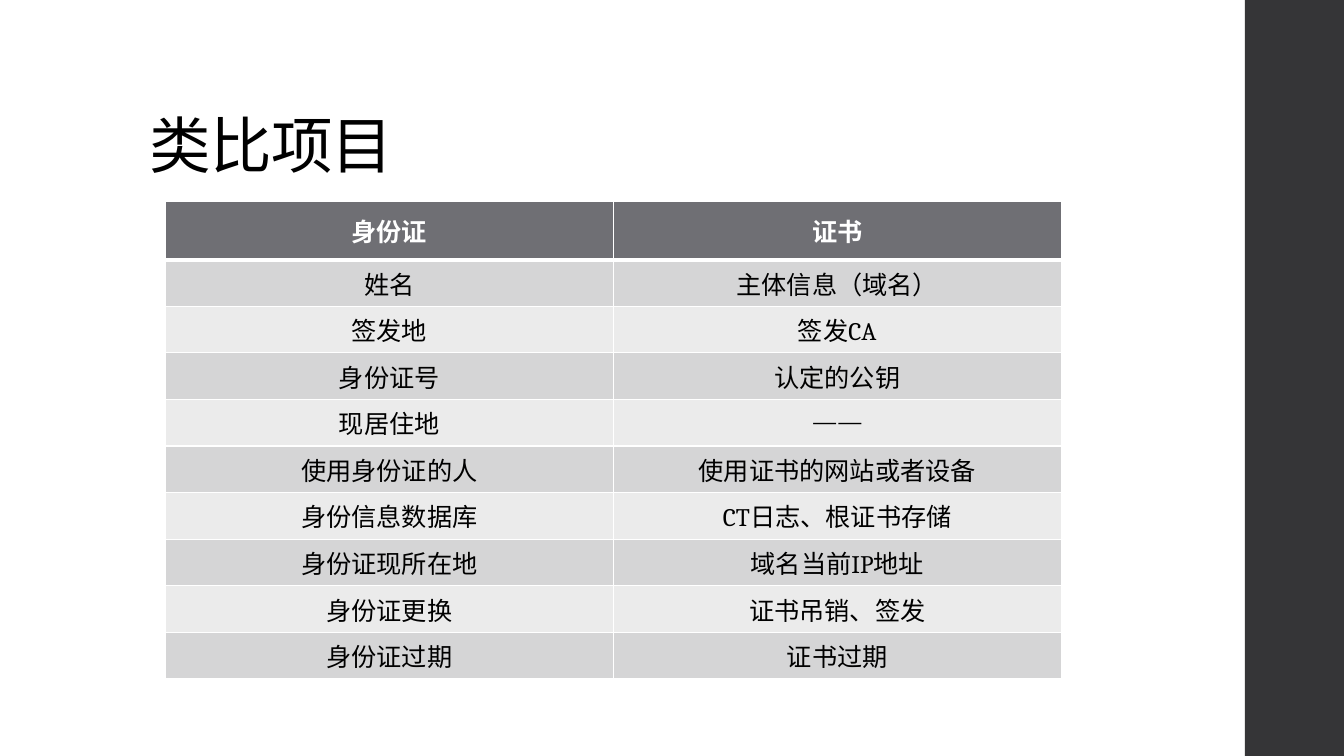
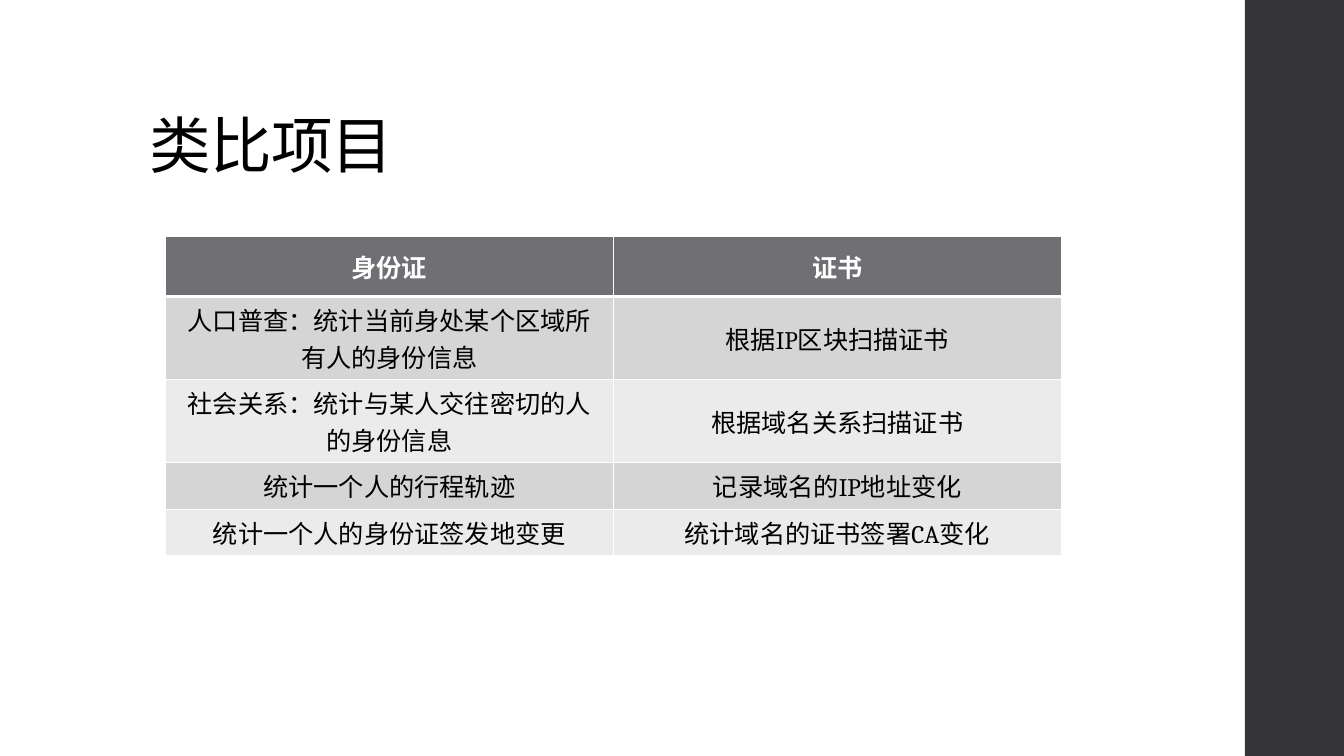
from lxml.etree import SubElement
from pptx import Presentation
from pptx.dml.color import RGBColor
from pptx.enum.lang import MSO_LANGUAGE_ID
from pptx.enum.shapes import MSO_SHAPE
from pptx.enum.text import MSO_ANCHOR, MSO_AUTO_SIZE, PP_ALIGN
from pptx.oxml.ns import qn
from pptx.util import Pt

# Shared style
FONT = "Cambria"
WHITE, BLACK = "FFFFFF", "000000"
BAND, HEAD = "353537", "6F6F74"
STRIPES = ("D5D5D6", "EBEBEB")
WIDE, HIGH = 960, 540
BAND_BOX = (889.2, 0, 70.8, HIGH)
TITLE_BOX = (99.36, 28.8, 763.2, 104.4)
LEFT, WIDTH, ROW = 118.1, 640, 29.2

# Table content, header row first
NAMES = ("身份证", "证书")
ITEMS = [
    NAMES,
    ("姓名", "主体信息（域名）"),
    ("签发地", "签发CA"),
    ("身份证号", "认定的公钥"),
    ("现居住地", "——"),
    ("使用身份证的人", "使用证书的网站或者设备"),
    ("身份信息数据库", "CT日志、根证书存储"),
    ("身份证现所在地", "域名当前IP地址"),
    ("身份证更换", "证书吊销、签发"),
    ("身份证过期", "证书过期"),
]
TASKS = [
    NAMES,
    ("人口普查：统计当前身处某个区域所有人的身份信息", "根据IP区块扫描证书"),
    ("社会关系：统计与某人交往密切的人的身份信息", "根据域名关系扫描证书"),
    ("统计一个人的行程轨迹", "记录域名的IP地址变化"),
    ("统计一个人的身份证签发地变更", "统计域名的证书签署CA变化"),
]


def paint(fill, color):
    fill.solid()
    fill.fore_color.rgb = RGBColor.from_string(color)


def write(para, text, size, color, bold=False):
    run = para.add_run()
    run.text = text
    font = run.font
    font.name, font.size, font.bold = FONT, Pt(size), bold
    font.language_id = MSO_LANGUAGE_ID.SIMPLIFIED_CHINESE
    paint(font.fill, color)
    return run


def edge(cell, side, width):
    props = cell._tc.get_or_add_tcPr()
    line = SubElement(props, qn(f"a:ln{side}"), w=str(Pt(width)))
    fill = SubElement(line, qn("a:solidFill"))
    SubElement(fill, qn("a:srgbClr"), val=WHITE)


def add_band(slide, box):
    band = slide.shapes.add_shape(MSO_SHAPE.RECTANGLE, *map(Pt, box))
    band.shadow.inherit = False
    paint(band.fill, BAND)
    band.line.fill.background()


def add_title(slide, text, box):
    title = slide.shapes.title
    title.left, title.top, title.width, title.height = map(Pt, box)
    frame = title.text_frame
    frame.auto_size = MSO_AUTO_SIZE.NONE
    frame.word_wrap = True
    frame.vertical_anchor = MSO_ANCHOR.BOTTOM
    para = frame.paragraphs[0]
    para.alignment = PP_ALIGN.LEFT
    para.line_spacing = 0.9
    run = write(para, text, 44, BLACK)
    run._r.get_or_add_rPr().set("spc", "-50")


def add_cell(cell, text, row):
    # Thick rule between header and body, thin elsewhere
    for side in "LRTB":
        thick = (side, row) in (("B", 0), ("T", 1))
        edge(cell, side, 3 if thick else 1)
    head = row == 0
    paint(cell.fill, HEAD if head else STRIPES[(row - 1) % 2])
    cell.vertical_anchor = MSO_ANCHOR.MIDDLE
    para = cell.text_frame.paragraphs[0]
    para.alignment = PP_ALIGN.CENTER
    write(para, text, 18, WHITE if head else BLACK, head)


def add_grid(slide, rows, top, head):
    cols = len(rows[0])
    box = (LEFT, top, WIDTH, head + ROW * (len(rows) - 1))
    table = slide.shapes.add_table(len(rows), cols, *map(Pt, box)).table
    for col in table.columns:
        col.width = Pt(WIDTH / cols)
    for i, texts in enumerate(rows):
        table.rows[i].height = Pt(ROW if i else head)
        for j, text in enumerate(texts):
            add_cell(table.cell(i, j), text, i)


def add_slide(deck, title, rows, top, head):
    slide = deck.slides.add_slide(deck.slide_layouts[5])
    paint(slide.background.fill, WHITE)
    add_band(slide, BAND_BOX)
    add_title(slide, title, TITLE_BOX)
    add_grid(slide, rows, top, head)


def main():
    deck = Presentation()
    deck.slide_width, deck.slide_height = Pt(WIDE), Pt(HIGH)
    add_slide(deck, "类比项目", ITEMS, 144, 41.5)
    add_slide(deck, "类比项目", TASKS, 168.8, 43)
    deck.save("out.pptx")


if __name__ == "__main__":
    main()
